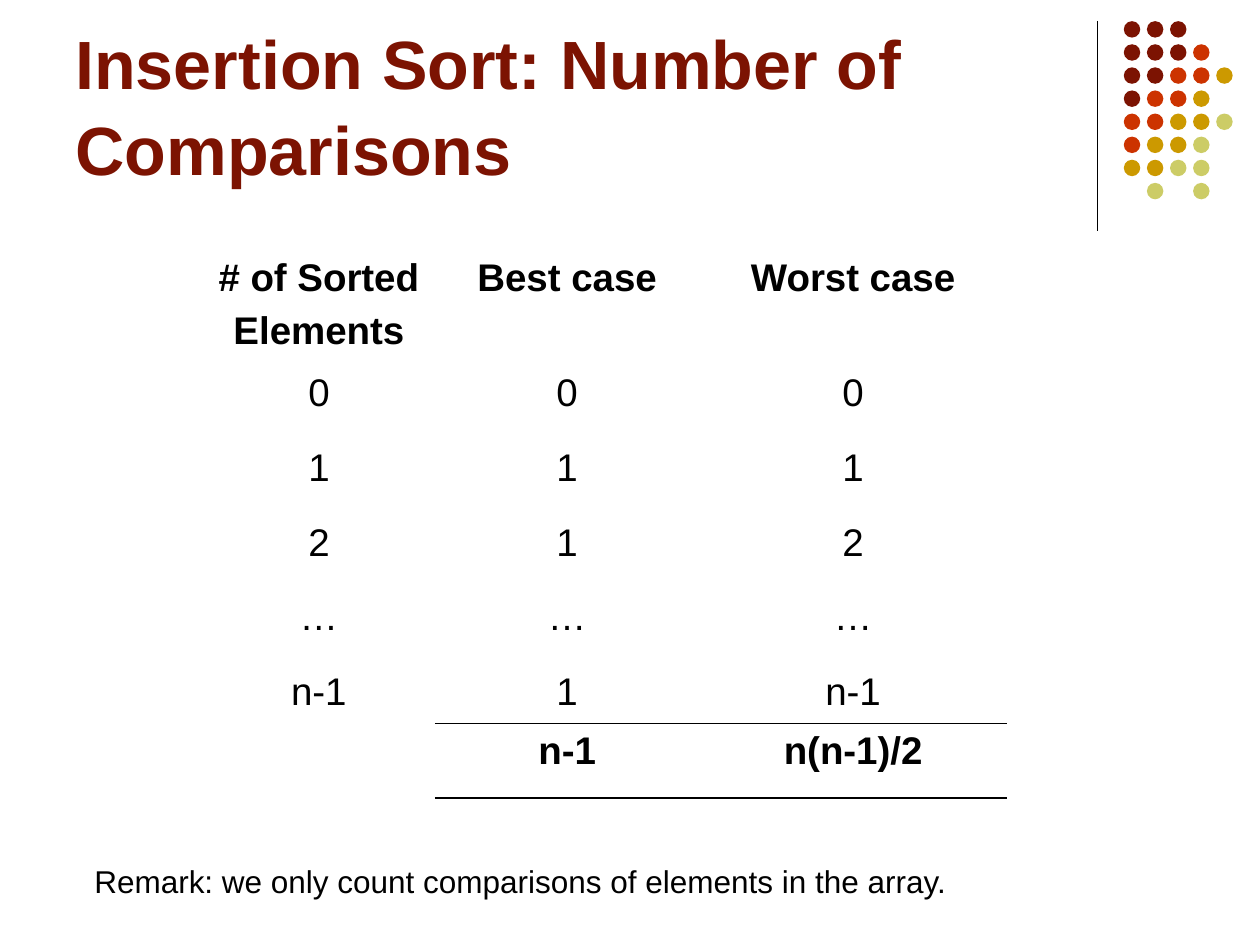
from lxml.etree import SubElement
from pptx import Presentation
from pptx.dml.color import RGBColor
from pptx.enum.shapes import MSO_CONNECTOR as Connector, MSO_SHAPE as Shape
from pptx.enum.text import MSO_ANCHOR as Anchor, MSO_AUTO_SIZE as AutoSize, PP_ALIGN as Align
from pptx.oxml import parse_xml
from pptx.oxml.ns import nsdecls, qn
from pptx.util import Pt

# Content
TITLE = "Insertion Sort: Number of Comparisons"
COMPARISONS = [
    ("# of Sorted\nElements", "Best case", "Worst case"),
    ("0", "0", "0"),
    ("1", "1", "1"),
    ("2", "1", "2"),
    ("…", "…", "…"),
    ("n-1", "1", "n-1"),
    ("", "n-1", "n(n-1)/2"),
]
REMARK = "Remark: we only count comparisons of elements in the array."

# Dot ornament: one letter per dot, keyed to THEME["dots"]
DOT_ROWS = ["MMM", "MMMR", "MMRRG", "MRRG", "RRGGL", "RGGL", "GGLL", " L L"]

THEME = {
    "font": "Arial",
    "title": "7C1302",
    "text": "000000",
    "dots": {"M": "7C1302", "R": "CC3300", "G": "CC9900", "L": "CCCC66"},
    "title_size": 39,
    "table_size": 22,
    "remark_size": 18,
}

# Layout, in points
COLUMN_WIDTHS = [132.5, 151.2, 175.7]
ROW_HEIGHTS = [65.7, 42.7, 42.7, 42.7, 42.7, 33.7, 42.7]
DOT_LEFT, DOT_TOP, DOT_SIZE, DOT_PITCH = 642.2, 12.1, 9.4, 13.2
THIN_RULE, THICK_RULE = 0.45, 1.08
NO_STYLE = "{2D5ABB26-0587-4C30-8999-92F81FD0307C}"


def style(paragraph, size, color=THEME["text"], bold=False):
    font = paragraph.font
    font.name, font.size, font.bold = THEME["font"], Pt(size), bold
    font.color.rgb = RGBColor.from_string(color)


def add_text(slide, text, box, size, **look):
    frame = slide.shapes.add_textbox(*map(Pt, box)).text_frame
    frame.text = text
    style(frame.paragraphs[0], size, **look)
    return frame


def add_borders(cell, **widths):
    """Rule the given sides of a cell; lines precede the fill in the XML."""
    properties = cell._tc.get_or_add_tcPr()
    for position, (side, width) in enumerate(widths.items()):
        properties.insert(position, parse_xml(
            f'<a:{side} {nsdecls("a")} w="{Pt(width)}"><a:solidFill>'
            f'<a:srgbClr val="{THEME["text"]}"/></a:solidFill></a:{side}>'))


def add_ornament(slide):
    divider = slide.shapes.add_connector(
        Connector.STRAIGHT, Pt(627), Pt(12), Pt(627), Pt(132))
    divider.line.color.rgb = RGBColor.from_string(THEME["text"])
    divider.line.width = Pt(0.75)
    SubElement(divider._element.spPr, qn("a:effectLst"))

    dots = slide.shapes.add_group_shape()
    for row, letters in enumerate(DOT_ROWS):
        for column, letter in enumerate(letters):
            if letter == " ":
                continue
            dot = dots.shapes.add_shape(
                Shape.OVAL, Pt(DOT_LEFT + column * DOT_PITCH),
                Pt(DOT_TOP + row * DOT_PITCH), Pt(DOT_SIZE), Pt(DOT_SIZE))
            dot.shadow.inherit = False
            dot.fill.solid()
            dot.fill.fore_color.rgb = RGBColor.from_string(THEME["dots"][letter])
            dot.line.fill.background()


def add_comparisons(slide):
    graphic = slide.shapes.add_table(
        len(COMPARISONS), len(COLUMN_WIDTHS), Pt(116), Pt(143.3),
        Pt(sum(COLUMN_WIDTHS)), Pt(sum(ROW_HEIGHTS)))
    table = graphic.table
    table.first_row = table.horz_banding = False
    table._tbl.tblPr.find(qn("a:tableStyleId")).text = NO_STYLE
    for column, width in zip(table.columns, COLUMN_WIDTHS):
        column.width = Pt(width)

    last = len(COMPARISONS) - 1
    for r, entries in enumerate(COMPARISONS):
        table.rows[r].height = Pt(ROW_HEIGHTS[r])
        for c, entry in enumerate(entries):
            cell = table.cell(r, c)
            cell.text = entry
            cell.fill.background()
            for paragraph in cell.text_frame.paragraphs:
                paragraph.alignment = Align.CENTER
                paragraph.space_before = Pt(5.5)
                style(paragraph, THEME["table_size"], bold=r in (0, last))

    # Rules around the totals
    for c in range(1, len(COLUMN_WIDTHS)):
        add_borders(table.cell(last - 1, c), lnB=THIN_RULE)
        add_borders(table.cell(last, c), lnT=THIN_RULE, lnB=THICK_RULE)


def main():
    deck = Presentation()
    deck.slide_width, deck.slide_height = Pt(720), Pt(540)
    slide = deck.slides.add_slide(deck.slide_layouts[6])

    add_ornament(slide)

    # Title
    title = add_text(slide, TITLE, (36, 9.4, 594, 102.2), THEME["title_size"],
                     color=THEME["title"], bold=True)
    title.word_wrap = True
    title.vertical_anchor = Anchor.BOTTOM
    title.paragraphs[0].line_spacing = 1.05

    add_comparisons(slide)

    # Remark
    remark = add_text(slide, REMARK, (46.8, 489, 502.6, 28.8), THEME["remark_size"])
    remark.word_wrap = False
    remark.auto_size = AutoSize.SHAPE_TO_FIT_TEXT

    deck.save("out.pptx")


if __name__ == "__main__":
    main()
